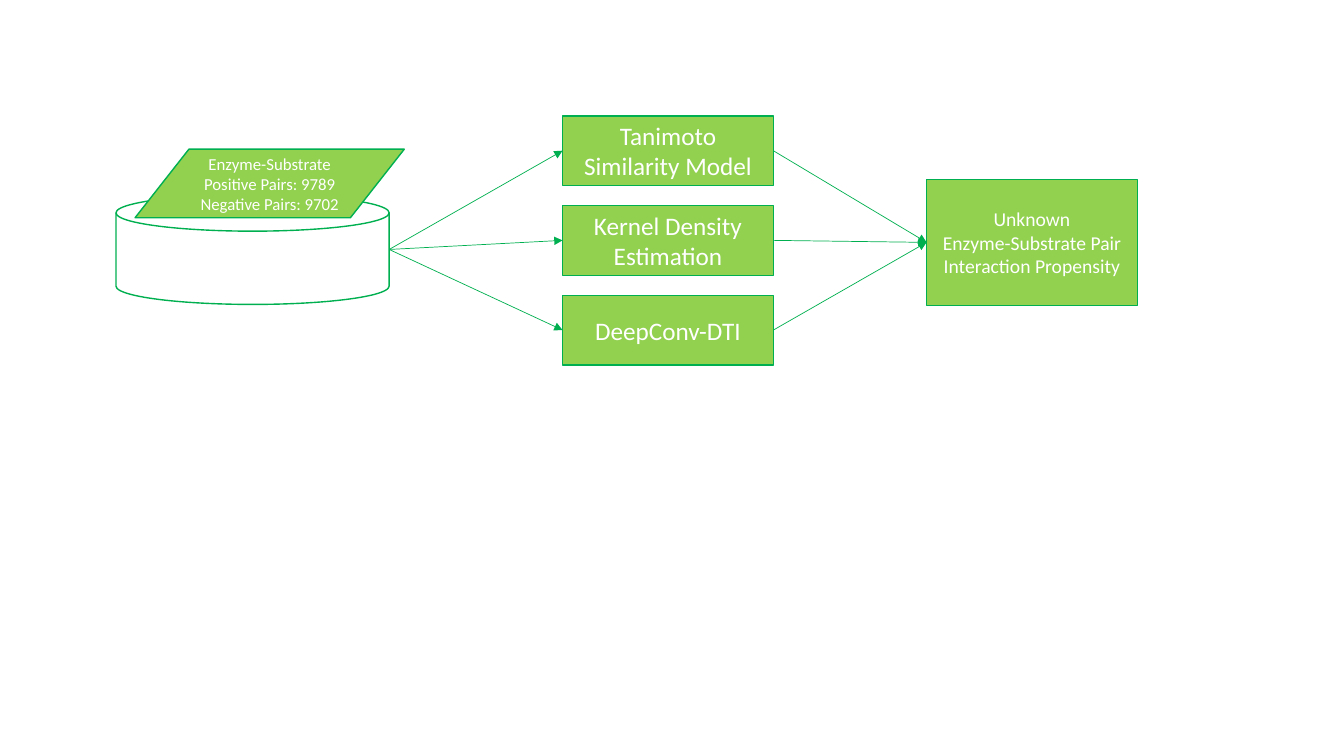
from lxml import etree
from pptx import Presentation
from pptx.dml.color import RGBColor
from pptx.enum.shapes import MSO_CONNECTOR as Connector, MSO_SHAPE as Shape
from pptx.enum.text import MSO_ANCHOR as Anchor, PP_ALIGN as Align
from pptx.oxml.ns import qn
from pptx.util import Inches, Pt

# Content
DATASET = ["Enzyme-Substrate", "Positive Pairs: 9789", "Negative Pairs: 9702"]
MODELS = ["Tanimoto Similarity Model", "Kernel Density Estimation", "DeepConv-DTI"]
RESULT = ["Unknown", "Enzyme-Substrate Pair Interaction Propensity"]

# Layout in inches: left, top, width, height
SLIDE_SIZE = (13.33, 7.5)
DATABASE_BOX = (1.15, 1.93, 2.71, 1.09)
DATASET_BOX = (1.34, 1.48, 2.67, 0.68)
RESULT_BOX = (9.19, 1.78, 2.09, 1.25)
MODEL_LEFT, MODEL_TOP, MODEL_WIDTH, MODEL_HEIGHT = 5.58, 1.15, 2.09, 0.69
MODEL_PITCH = 0.89

WHITE, LIME, GREEN = "FFFFFF", "92D050", "00B050"
LEFT_SIDE, RIGHT_SIDE = 1, 3


def color(value):
    return RGBColor.from_string(value)


def add_block(slide, kind, box, lines=(), size=18, fill=LIME):
    shape = slide.shapes.add_shape(kind, *map(Inches, box))
    shape.shadow.inherit = False
    shape.fill.solid()
    shape.fill.fore_color.rgb = color(fill)
    shape.line.color.rgb = color(GREEN)
    shape.line.width = Pt(1)
    frame = shape.text_frame
    frame.word_wrap = True
    frame.vertical_anchor = Anchor.MIDDLE
    for index, line in enumerate(lines):
        paragraph = frame.add_paragraph() if index else frame.paragraphs[0]
        paragraph.alignment = Align.CENTER
        run = paragraph.add_run()
        run.text = line
        for name, value in {"name": "Calibri", "size": Pt(size)}.items():
            setattr(run.font, name, value)
        run.font.color.rgb = color(WHITE)
    return shape


def add_arrow(slide, source, target, join_source=True):
    arrow = slide.shapes.add_connector(
        Connector.STRAIGHT,
        source.left + source.width, source.top + source.height // 2,
        target.left, target.top + target.height // 2)
    if join_source:
        arrow.begin_connect(source, RIGHT_SIDE)
    arrow.end_connect(target, LEFT_SIDE)
    arrow.line.color.rgb = color(GREEN)
    arrow.line.width = Pt(0.5)
    properties = arrow.element.spPr
    etree.SubElement(properties.find(qn("a:ln")), qn("a:tailEnd"), type="triangle")
    etree.SubElement(properties, qn("a:effectLst"))


def main():
    presentation = Presentation()
    presentation.slide_width, presentation.slide_height = map(Inches, SLIDE_SIZE)
    slide = presentation.slides.add_slide(presentation.slide_layouts[6])

    # Database with its data sheet
    database = add_block(slide, Shape.FLOWCHART_MAGNETIC_DISK, DATABASE_BOX, fill=WHITE)
    add_block(slide, Shape.FLOWCHART_DATA, DATASET_BOX, DATASET, 12)

    # Result, and one row per model with arrows in and out
    result = add_block(slide, Shape.FLOWCHART_PROCESS, RESULT_BOX, RESULT, 14)
    for row, name in enumerate(MODELS):
        box = (MODEL_LEFT, MODEL_TOP + row * MODEL_PITCH, MODEL_WIDTH, MODEL_HEIGHT)
        model = add_block(slide, Shape.FLOWCHART_PROCESS, box, [name])
        add_arrow(slide, database, model, join_source=False)
        add_arrow(slide, model, result)

    presentation.save("out.pptx")


if __name__ == "__main__":
    main()
